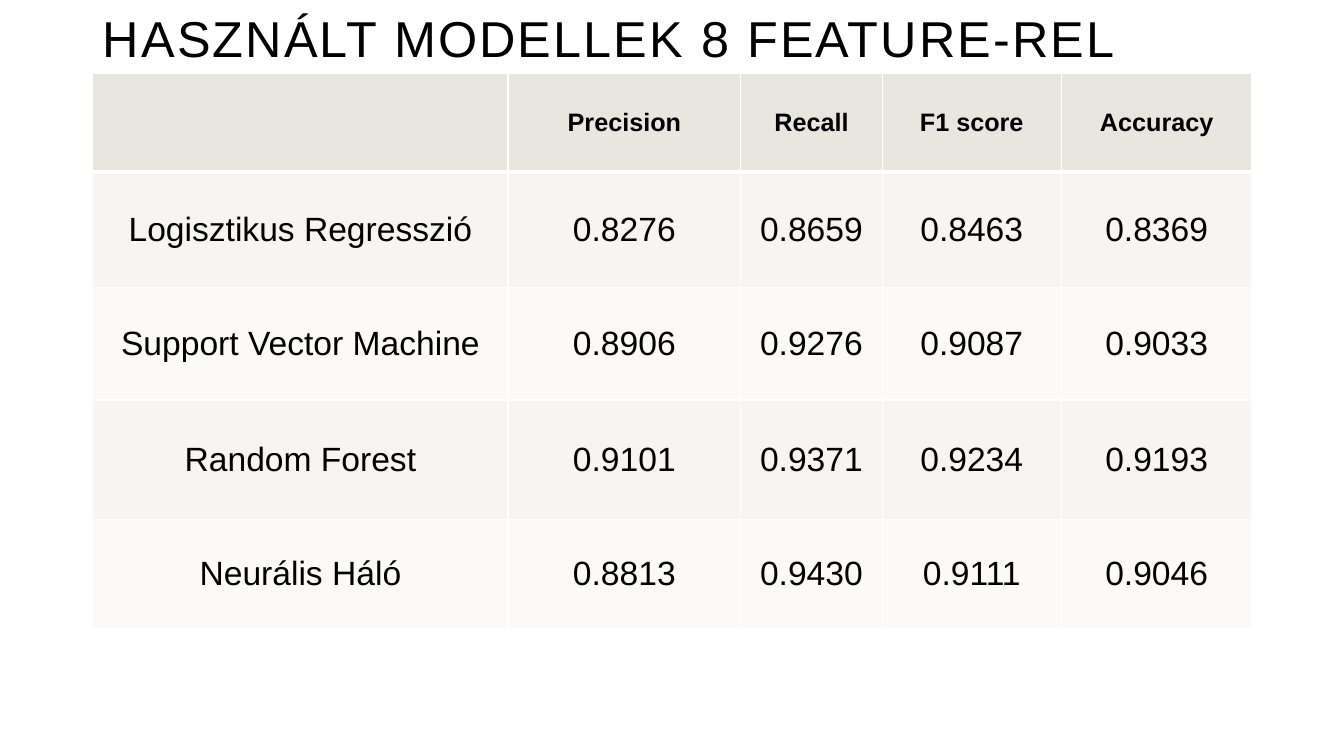
import dataclasses

import lxml.etree
import pptx
import pptx.dml.color
import pptx.enum.text
import pptx.oxml.ns
import pptx.util

Cm = pptx.util.Cm
Pt = pptx.util.Pt
qn = pptx.oxml.ns.qn


@dataclasses.dataclass
class Theme:
    font: str = "Arial"
    ink: str = "000000"
    rule: str = "FFFFFF"
    header_fill: str = "E9E6DF"
    band_fills: tuple = ("F7F5F3", "FBFAF9")
    title_size: int = 36
    header_size: int = 18
    body_size: int = 24


theme = Theme()


def style_runs(para, size, bold):
    for span in para.runs:
        span.font.name = theme.font
        span.font.size = Pt(size)
        span.font.bold = bold
        span.font.color.rgb = pptx.dml.color.RGBColor.from_string(theme.ink)


def add_border(cell, side, width):
    line = lxml.etree.SubElement(cell._tc.get_or_add_tcPr(), qn("a:" + side), w=str(Pt(width)))
    fill = lxml.etree.SubElement(line, qn("a:solidFill"))
    lxml.etree.SubElement(fill, qn("a:srgbClr"), val=theme.rule)


deck = pptx.Presentation()
deck.slide_width = Cm(33.87)
deck.slide_height = Cm(19.05)
page = deck.slides.add_slide(deck.slide_layouts[5])

title = page.shapes.title
title.left, title.top, title.width, title.height = Cm(2.34), Cm(0), Cm(29.21), Cm(1.85)
title.text_frame.text = "HASZNÁLT MODELLEK 8 FEATURE-REL"
title.text_frame.word_wrap = True
title.text_frame.auto_size = pptx.enum.text.MSO_AUTO_SIZE.NONE
title.text_frame.vertical_anchor = pptx.enum.text.MSO_ANCHOR.BOTTOM
heading = title.text_frame.paragraphs[0]
heading.alignment = pptx.enum.text.PP_ALIGN.LEFT
heading.line_spacing = 0.9
style_runs(heading, theme.title_size, False)
heading.runs[0].font._element.set("spc", "150")

scores = [
    ["", "Precision", "Recall", "F1 score", "Accuracy"],
    ["Logisztikus Regresszió", "0.8276", "0.8659", "0.8463", "0.8369"],
    ["Support Vector Machine", "0.8906", "0.9276", "0.9087", "0.9033"],
    ["Random Forest", "0.9101", "0.9371", "0.9234", "0.9193"],
    ["Neurális Háló", "0.8813", "0.9430", "0.9111", "0.9046"],
]
column_widths = [10.46, 5.87, 3.56, 4.52, 4.8]
row_heights = [2.49, 2.9, 2.84, 3.02, 2.74]

table = page.shapes.add_table(
    len(scores), len(column_widths), Cm(2.34), Cm(1.85),
    Cm(sum(column_widths)), Cm(sum(row_heights)),
).table
for column, width in zip(table.columns, column_widths):
    column.width = Cm(width)
for row, height in zip(table.rows, row_heights):
    row.height = Cm(height)

for row_index, row_texts in enumerate(scores):
    is_header = row_index == 0
    fill_color = theme.header_fill if is_header else theme.band_fills[(row_index - 1) % 2]
    size = theme.header_size if is_header else theme.body_size
    borders = {
        "lnL": 1,
        "lnR": 1,
        "lnT": 3 if row_index == 1 else 1,
        "lnB": 3 if is_header else 1,
    }
    for column_index, text in enumerate(row_texts):
        cell = table.cell(row_index, column_index)
        for side, width in borders.items():
            add_border(cell, side, width)
        cell.fill.solid()
        cell.fill.fore_color.rgb = pptx.dml.color.RGBColor.from_string(fill_color)
        cell.vertical_anchor = pptx.enum.text.MSO_ANCHOR.MIDDLE
        cell.text_frame.text = text
        para = cell.text_frame.paragraphs[0]
        para.alignment = pptx.enum.text.PP_ALIGN.CENTER
        style_runs(para, size, is_header)

deck.save("out.pptx")
